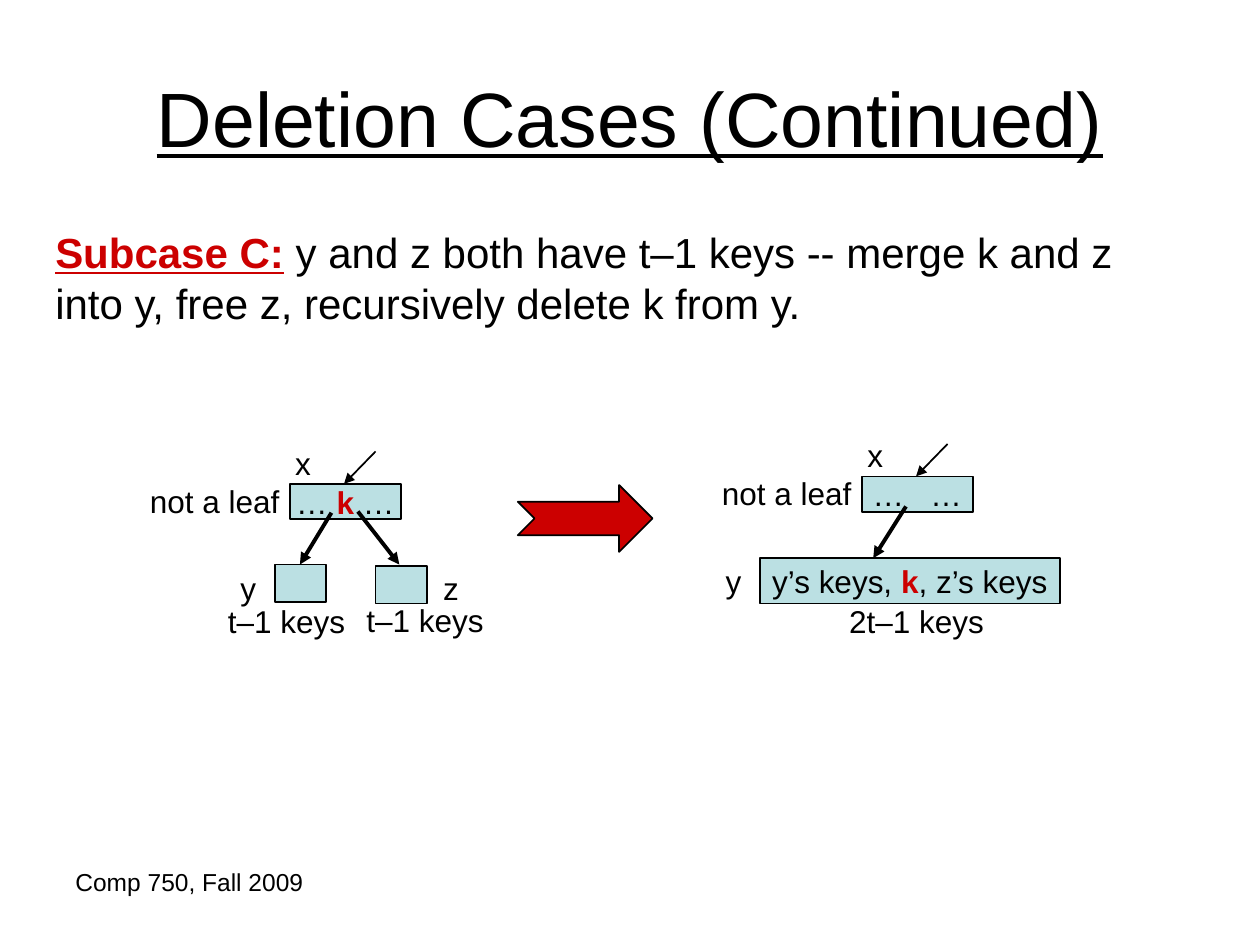
from lxml import etree
from pptx import Presentation
from pptx.dml.color import RGBColor
from pptx.enum import shapes, text
from pptx.oxml.ns import qn
from pptx.util import Pt

# Content: a run is plain text or (text, style names)
TITLE = "Deletion Cases (Continued)"
CASE = [("Subcase C:", "key under"),
        " y and z both have t–1 keys -- merge k and z into y, "
        "free z, recursively delete k from y."]
FOOT = "Comp 750, Fall 2009"
# Each tree: root corner, then nodes, links and labels in slide points
TREES = [
    dict(root=(165.6, 276.5), keys=[" … ", ("k", "key"), " … "],
         nodes=[((157, 322.6, 29.5, 21.6), []),
                ((214.6, 323.3, 29.5, 21.6), [])],
         links=[(189.4, 293, 171.4, 322.6), (204.5, 292.3, 228.2, 322.6)],
         labels=[("y", 130.3, 321.8, 23), ("z", 246.2, 321.8, 23),
                 ("t–1 keys", 123.1, 340.6, 81.4),
                 ("t–1 keys", 202.3, 339.8, 81.4)]),
    dict(root=(492.5, 272.2), keys=["…\t…"], tab=33,
         nodes=[((434.2, 319, 171.4, 25.9),
                 ["y’s keys, ", ("k", "key"), ", z’s keys"])],
         links=[(517.7, 289.4, 499, 319)],
         labels=[("y", 407.5, 317.5, 23), ("2t–1 keys", 478.1, 340.6, 91.4)]),
]
ROOT = (63.4, 20.2)
LABEL_H = 28.8
THEME = dict(font="Arial", ink=RGBColor(0, 0, 0), key=RGBColor(0xCC, 0, 0),
             node=RGBColor(0xBB, 0xE0, 0xE3),
             title=44, body=24, label=18, foot=14, thin=1, thick=2.25)

prs = Presentation()
prs.slide_width, prs.slide_height = Pt(720), Pt(540)
slide = prs.slides.add_slide(prs.slide_layouts[5])
parts = slide.shapes


def write(shape, runs, size="label", align="LEFT", anchor="TOP", wrap=True,
          fit="NONE"):
    """Fill a shape with one formatted paragraph."""
    frame = shape.text_frame
    frame.word_wrap = wrap
    frame.auto_size = getattr(text.MSO_AUTO_SIZE, fit)
    frame.vertical_anchor = getattr(text.MSO_ANCHOR, anchor)
    para = frame.paragraphs[0]
    para.alignment = getattr(text.PP_ALIGN, align)
    for item in runs:
        words, style = (item, "") if isinstance(item, str) else item
        run = para.add_run()
        run.text = words
        font = run.font
        font.name, font.size = THEME["font"], Pt(THEME[size])
        font.bold, font.underline = "key" in style, "under" in style
        font.color.rgb = THEME["key" if "key" in style else "ink"]
    return para


def label(words, x, y, w, h=LABEL_H, **fmt):
    box = parts.add_textbox(Pt(x), Pt(y), Pt(w), Pt(h))
    runs = [words] if isinstance(words, str) else words
    return write(box, runs, **fmt)


def block(kind, x, y, w, h, fill="node"):
    shape = parts.add_shape(kind, Pt(x), Pt(y), Pt(w), Pt(h))
    shape.shadow.inherit = False
    shape.fill.solid()
    shape.fill.fore_color.rgb = THEME[fill]
    shape.line.color.rgb = THEME["ink"]
    shape.line.width = Pt(THEME["thin"])
    return shape


def arrow(x1, y1, x2, y2, width="thick"):
    link = parts.add_connector(shapes.MSO_CONNECTOR.STRAIGHT,
                               Pt(x1), Pt(y1), Pt(x2), Pt(y2))
    link.line.color.rgb = THEME["ink"]
    link.line.width = Pt(THEME[width])
    etree.SubElement(link.line._get_or_add_ln(), qn("a:tailEnd"),
                     type="triangle")
    etree.SubElement(link._element.spPr, qn("a:effectLst"))


def node(place, runs, tab=None):
    shape = block(shapes.MSO_SHAPE.RECTANGLE, *place)
    if tab:  # a tab stop spaces the two key lists around the gap
        para = write(shape, runs, anchor="MIDDLE")
        shape.text_frame.margin_left = Pt(6.2)
        shape.text_frame.margin_right = 0
        stops = etree.SubElement(para._p.get_or_add_pPr(), qn("a:tabLst"))
        etree.SubElement(stops, qn("a:tab"), pos=str(Pt(tab)), algn="l")
    elif runs:
        write(shape, runs, align="CENTER", anchor="MIDDLE", wrap=False)


def tree(root, keys, nodes, links, labels, tab=None):
    x, y = root
    # Root with its incoming pointer and captions
    node((x, y, *ROOT), keys, tab)
    arrow(x + 49, y - 18.5, x + 31, y, width="thin")
    tags = [("x", x - 4, y - 26.3, 23),
            ("not a leaf", x - 87, y - 4.7, 88.6)]
    # Children
    for place, runs in nodes:
        node(place, runs)
    for ends in links:
        arrow(*ends)
    for tag in tags + labels:
        label(*tag, wrap=False, fit="SHAPE_TO_FIT_TEXT")


# Title, statement and footer
head = parts.title
head.left, head.top, head.width, head.height = Pt(36), Pt(21.6), Pt(648), Pt(90)
write(head, [(TITLE, "under")], size="title", align="CENTER", anchor="MIDDLE")
label(CASE, 24.5, 126, 663.8, 64.8, size="body", fit="SHAPE_TO_FIT_TEXT")
label(FOOT, 36, 491.8, 167.8, 37.4, size="foot")

# Before and after, with the merge arrow between
for spec_ in TREES:
    tree(**spec_)
block(shapes.MSO_SHAPE.NOTCHED_RIGHT_ARROW, 295.9, 277.2, 77, 38.2, fill="key")

prs.save("out.pptx")
